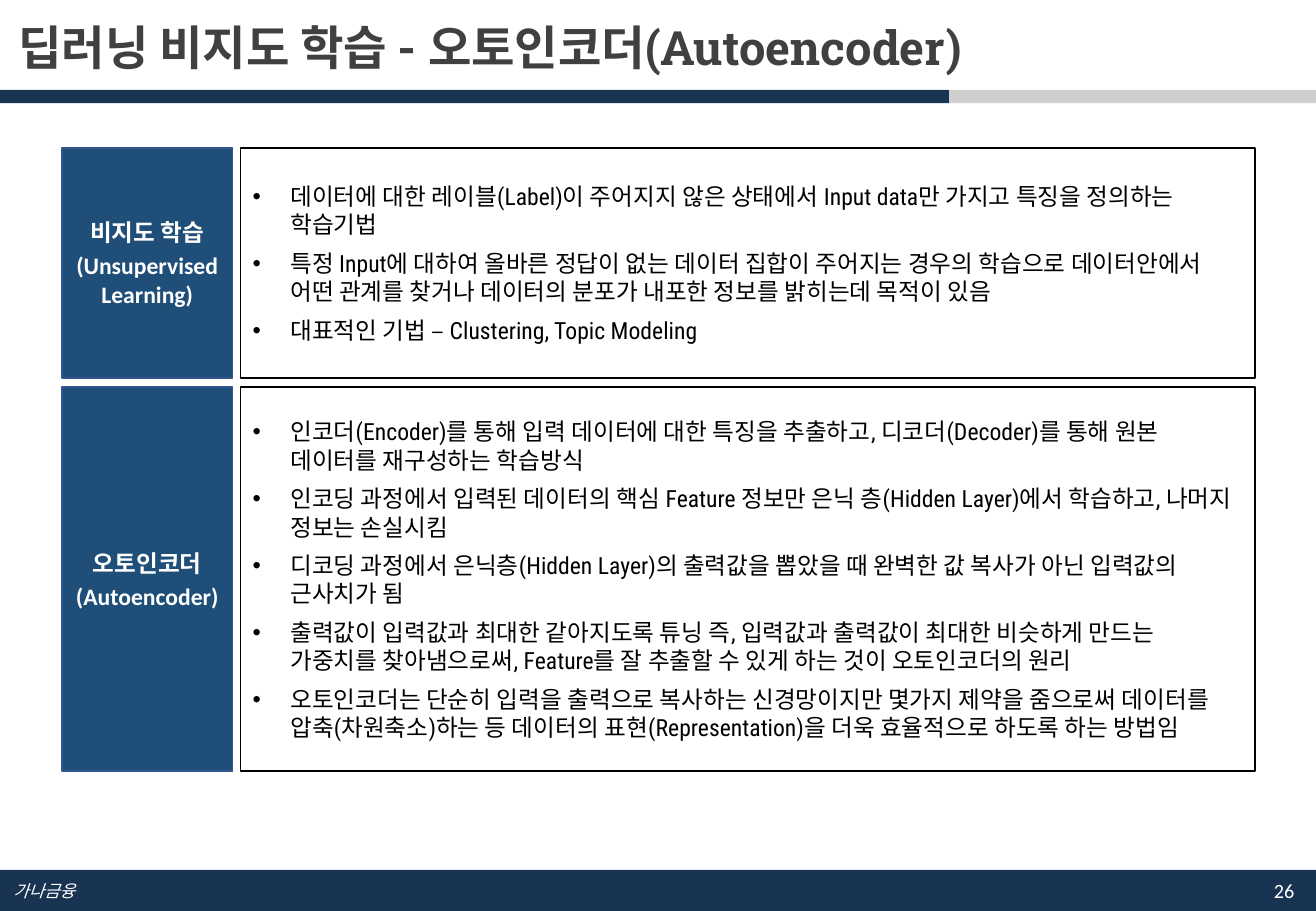
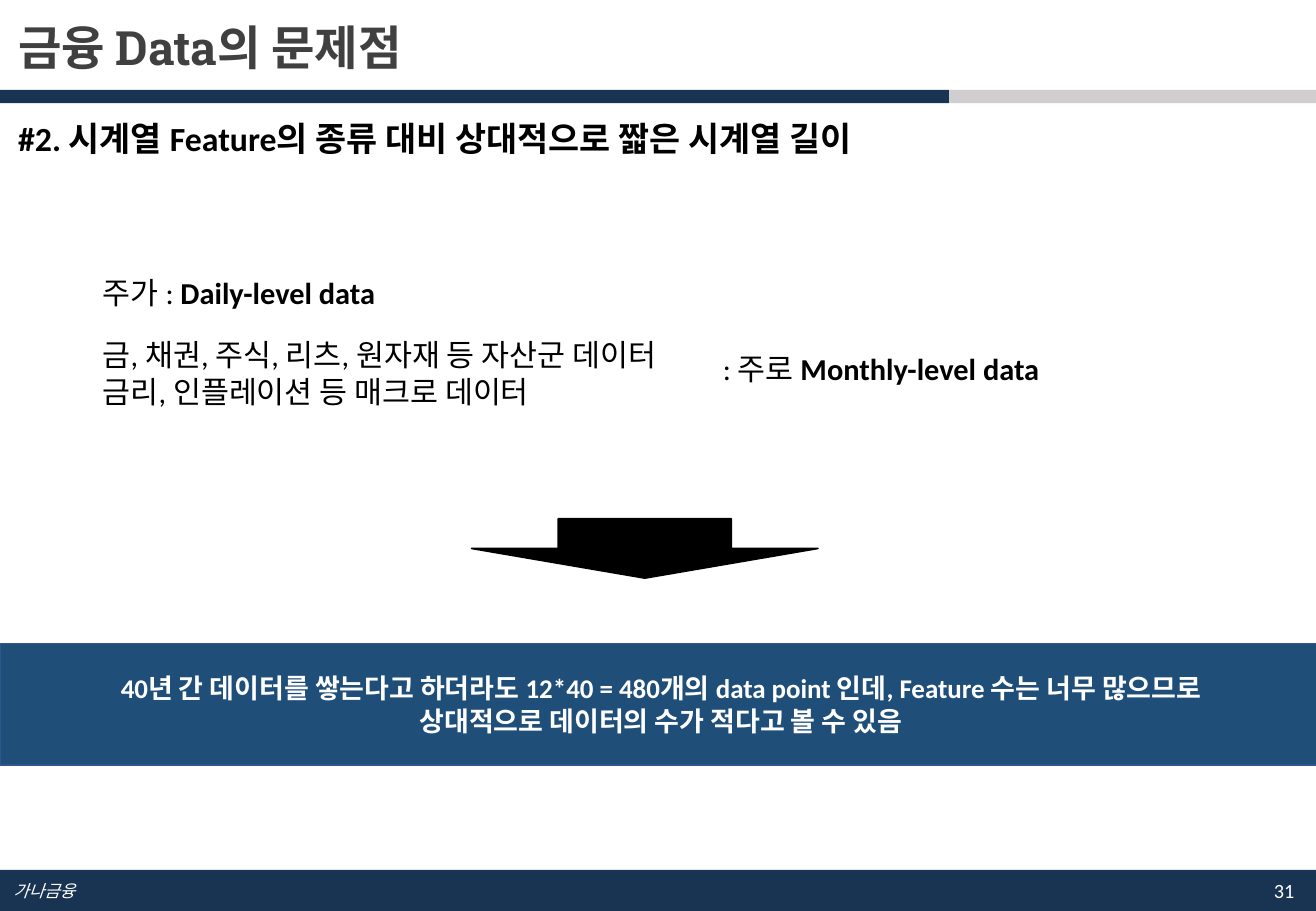
"""Build two lecture slides on autoencoders and financial data."""
from dataclasses import dataclass

from lxml.etree import SubElement
from pptx import Presentation
from pptx.dml.color import RGBColor as Rgb
from pptx.enum.shapes import MSO_SHAPE as Kind
from pptx.enum.text import MSO_ANCHOR as Anchor, MSO_AUTO_SIZE as Fit, PP_ALIGN as Align
from pptx.oxml.ns import qn
from pptx.util import Cm, Pt

INK = {"navy": "193452", "grey": "D0CECE", "blue": "1F4E79", "edge": "325491",
       "title": "404040", "black": "000000", "white": "FFFFFF"}
WIDE, HIGH = 27.51, 19.05
FIRM = "가나금융"


@dataclass
class Box:
    x: float
    y: float
    w: float
    h: float

    def place(self) -> tuple:
        return Cm(self.x), Cm(self.y), Cm(self.w), Cm(self.h)


@dataclass
class Card:
    high: float
    head: list
    points: list


CARDS = [
    Card(4.8, ["비지도 학습", "(Unsupervised Learning)"], [
        "데이터에 대한 레이블(Label)이 주어지지 않은 상태에서 Input data만 가지고 특징을 정의하는 학습기법",
        "특정 Input에 대하여 올바른 정답이 없는 데이터 집합이 주어지는 경우의 학습으로 데이터안에서 "
        "어떤 관계를 찾거나 데이터의 분포가 내포한 정보를 밝히는데 목적이 있음",
        "대표적인 기법 – Clustering, Topic Modeling",
    ]),
    Card(8.03, ["오토인코더", "(Autoencoder)"], [
        "인코더(Encoder)를 통해 입력 데이터에 대한 특징을 추출하고, 디코더(Decoder)를 통해 원본 "
        "데이터를 재구성하는 학습방식",
        "인코딩 과정에서 입력된 데이터의 핵심 Feature 정보만 은닉 층(Hidden Layer)에서 학습하고, "
        "나머지 정보는 손실시킴",
        "디코딩 과정에서 은닉층(Hidden Layer)의 출력값을 뽑았을 때 완벽한 값 복사가 아닌 입력값의 "
        "근사치가 됨",
        "출력값이 입력값과 최대한 같아지도록 튜닝 즉, 입력값과 출력값이 최대한 비슷하게 만드는 "
        "가중치를 찾아냄으로써, Feature를 잘 추출할 수 있게 하는 것이 오토인코더의 원리",
        "오토인코더는 단순히 입력을 출력으로 복사하는 신경망이지만 몇가지 제약을 줌으로써 데이터를 "
        "압축(차원축소)하는 등 데이터의 표현(Representation)을 더욱 효율적으로 하도록 하는 방법임",
    ]),
]
NOTES = [
    (Box(1.9, 5.61, 6.53, 1.02), [("주가 : ", "Daily-level data")]),
    (Box(1.9, 6.91, 13.26, 1.8),
     ["금, 채권, 주식, 리츠, 원자재 등 자산군 데이터", "금리, 인플레이션 등 매크로 데이터"]),
    (Box(14.86, 7.19, 7.44, 1.02), [(": 주로 ", "Monthly-level data")]),
]


def write(shape, lines: list, size: float, ink: str = "black", font: str = "Calibri",
          bold: bool = False, slant: bool = False, align=Align.LEFT, anchor=Anchor.TOP,
          gap: float = 0, lead: float = 1, mark: str = "") -> None:
    """Fill a shape with lines; a tuple line holds a plain and a bold part."""
    frame = shape.text_frame
    frame.word_wrap, frame.auto_size = True, Fit.NONE
    frame.vertical_anchor = anchor
    for i, line in enumerate(lines):
        para = frame.add_paragraph() if i else frame.paragraphs[0]
        if mark:
            props = para._p.get_or_add_pPr()
            props.set("marL", str(Cm(0.79)))
            props.set("indent", str(-Cm(0.79)))
            SubElement(props, qn("a:buFont")).set("typeface", "Arial")
            SubElement(props, qn("a:buChar")).set("char", mark)
        para.alignment, para.line_spacing = align, lead
        para.space_before = Pt(gap if i else 0)
        parts = line if isinstance(line, tuple) else (line,)
        for j, part in enumerate(parts):
            run = para.add_run()
            run.text = part
            face = run.font
            face.name, face.size = font, Pt(size)
            face.bold, face.italic = bold or j > 0, slant
            face.color.rgb = Rgb.from_string(INK[ink])


def draw(slide, box: Box, fill: str, edge: str = "", kind=Kind.RECTANGLE):
    """Add a filled shape, outlined when an edge colour is given."""
    shape = slide.shapes.add_shape(kind, *box.place())
    shape.shadow.inherit = False
    shape.fill.solid()
    shape.fill.fore_color.rgb = Rgb.from_string(INK[fill])
    if edge:
        shape.line.color.rgb = Rgb.from_string(INK[edge])
        shape.line.width = Pt(1)
    else:
        shape.line.fill.background()
    return shape


def label(slide, box: Box, lines: list, size: float, **style) -> None:
    """Add a text box."""
    write(slide.shapes.add_textbox(*box.place()), lines, size, **style)


def start(deck, title: str, page: int):
    """Add a slide with its title, bands and footer."""
    slide = deck.slides.add_slide(deck.slide_layouts[5])
    split = 19.84
    draw(slide, Box(0, 1.88, split, 0.28), "navy")
    draw(slide, Box(split, 1.88, WIDE - split, 0.28), "grey")
    draw(slide, Box(0, 18.19, WIDE, HIGH - 18.19), "navy")
    label(slide, Box(22.33, 18.24, 4.98, 0.76), [str(page)], 12, ink="white", align=Align.RIGHT)
    label(slide, Box(0.03, 18.29, 7.11, 0.69), [FIRM], 10, ink="white", slant=True)
    head = slide.shapes.title
    head.left, head.top, head.width, head.height = Box(0.13, 0.38, 27.18, 1.4).place()
    write(head, [title], 28, ink="title", font="Roboto Slab", bold=True, lead=0.9)
    return slide


def learn(deck) -> None:
    """Build the slide of method cards."""
    slide = start(deck, "딥러닝 비지도 학습 - 오토인코더(Autoencoder)", 26)
    top = 3.1
    for card in CARDS:
        side = draw(slide, Box(1.3, top, 3.56, card.high), "blue", "edge")
        write(side, card.head, 14, ink="white", bold=True, align=Align.CENTER,
              anchor=Anchor.MIDDLE, gap=3)
        body = draw(slide, Box(5.03, top, 21.21, card.high), "white", "black")
        write(body, card.points, 14, font="Roboto Condensed", anchor=Anchor.MIDDLE,
              gap=6, mark="•")
        top += card.high + 0.2


def limits(deck) -> None:
    """Build the slide on short time series."""
    slide = start(deck, "금융 Data의 문제점", 31)
    label(slide, Box(0.13, 2.34, 20.83, 1.12),
          ["#2. 시계열 Feature의 종류 대비 상대적으로 짧은 시계열 길이"], 20, bold=True)
    for box, lines in NOTES:
        label(slide, box, lines, 18)
    draw(slide, Box(9.86, 10.85, 7.24, 1.24), "black", "black", Kind.DOWN_ARROW)
    banner = draw(slide, Box(0, 13.46, 27.64, 2.54), "blue", "edge")
    write(banner, ["40년 간 데이터를 쌓는다고 하더라도 12*40 = 480개의 data point 인데, "
                   "Feature 수는 너무 많으므로",
                   "상대적으로 데이터의 수가 적다고 볼 수 있음"],
          16, ink="white", bold=True, align=Align.CENTER, anchor=Anchor.MIDDLE)


def main() -> None:
    """Build and save the deck."""
    deck = Presentation()
    deck.slide_width, deck.slide_height = Cm(WIDE), Cm(HIGH)
    learn(deck)
    limits(deck)
    deck.save("out.pptx")


if __name__ == "__main__":
    main()
